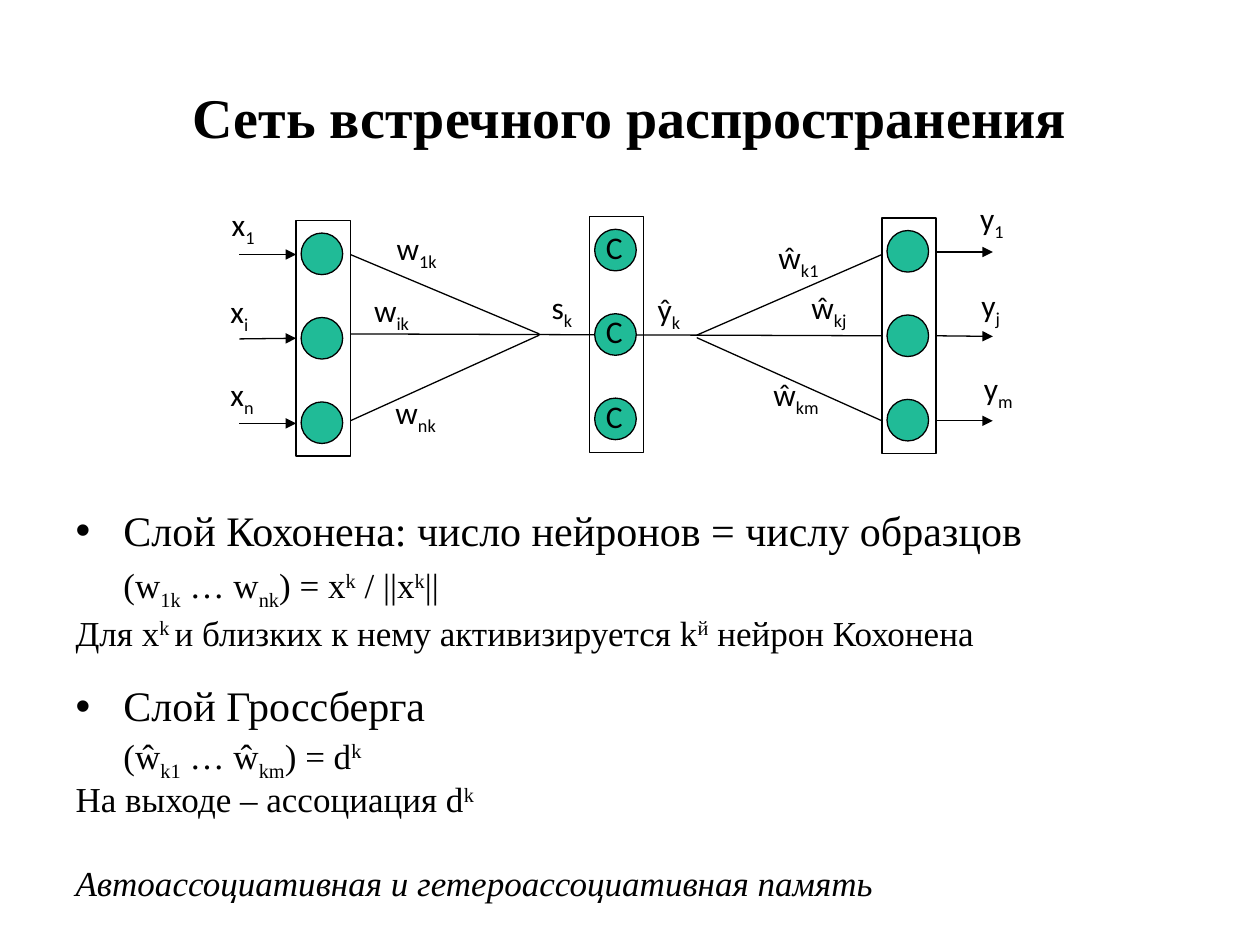
from lxml.etree import SubElement
from pptx import Presentation
from pptx.dml.color import RGBColor
from pptx.enum.shapes import MSO_CONNECTOR, MSO_SHAPE
from pptx.enum.text import MSO_ANCHOR, MSO_AUTO_SIZE, PP_ALIGN
from pptx.oxml.ns import qn
from pptx.util import Inches, Pt

COLORS = {"ink": "000000", "neuron": "20BB97"}
BASELINES = {"_": "-25000", "^": "30000"}
SERIF, SANS = "Times New Roman", "Calibri"
FRAME_W, FRAME_H, NEURON, PITCH = 0.43, 1.87, 0.33, 0.67
FRAMES = [(0.65, 0.25), (2.98, 0.22), (5.3, 0.23)]
LINKS = [
    (1.08, 0.52, 2.58, 1.15),
    (1.08, 1.84, 2.58, 1.16),
    (3.83, 1.16, 5.3, 0.52),
    (3.83, 1.18, 5.3, 1.84),
]
LABELS = [
    ("x;_1", 0.04, 0.08, 0.58), ("x;_i", 0.03, 0.77, 0.58), ("x;_n", 0.03, 1.43, 0.58),
    ("w;_1k", 1.35, 0.27, 0.58), ("w;_ik", 1.17, 0.76, 0.58), ("w;_nk", 1.34, 1.57, 0.58),
    ("s;_k", 2.58, 0.74, 0.58), ("ŷ;_k", 3.42, 0.75, 0.58),
    ("ŵ;_k1", 4.38, 0.34, 0.58), ("ŵ;_kj", 4.64, 0.74, 0.58), ("ŵ;_km", 4.34, 1.43, 0.61),
    ("y;_1", 5.98, 0.03, 0.79), ("y;_j", 5.99, 0.72, 0.79), ("y;_m", 6.01, 1.38, 0.97),
]
HEAD = {"size": 24, "indent": -0.38, "before": 6, "bullet": True}
FORMULA = {"size": 20, "indent": 0, "before": 5}
NOTE = {"size": 20, "indent": -0.38, "before": 5}
BODY = [
    ("Слой Кохонена: число нейронов = числу образцов", HEAD),
    ("(w;_1k; … w;_nk;) = x;^k; / ||x;^k;||", FORMULA),
    ("Для x;^k ;и близких к нему активизируется k;^й; нейрон Кохонена", NOTE | {"after": 12}),
    ("Слой Гроссберга", HEAD),
    ("(ŵ;_k1; … ŵ;_km;) = d;^k", FORMULA | {"before": 2.5}),
    ("На выходе – ассоциация d;^k", NOTE | {"before": 2.5}),
    ("Автоассоциативная и гетероассоциативная память", NOTE | {"before": 26, "italic": True}),
]


def rgb(name):
    """Return the named colour."""
    return RGBColor.from_string(COLORS[name])


def place(shape, x, y, w, h):
    """Move a shape to a box given in inches."""
    for name, value in zip(("left", "top", "width", "height"), (x, y, w, h)):
        setattr(shape, name, Inches(value))


def write(p, text, **font):
    """Write semicolon-separated runs, where _ lowers and ^ raises a run."""
    for part in text.split(";"):
        r = p.add_run()
        baseline = BASELINES.get(part[0])
        r.text = part[1:] if baseline else part
        for name, value in font.items():
            setattr(r.font, name, value)
        r.font.color.rgb = rgb("ink")
        if baseline:
            r.font._element.set("baseline", baseline)


def outline(shape):
    """Give a shape or connector the thin dark line."""
    shape.line.color.rgb = rgb("ink")
    shape.line.width = Pt(0.75)


def add_label(shapes, text, x, y, w, h):
    """Add a diagram label."""
    tf = shapes.add_textbox(*map(Inches, (x, y, w, h))).text_frame
    tf.word_wrap = True
    tf.auto_size = MSO_AUTO_SIZE.SHAPE_TO_FIT_TEXT
    write(tf.paragraphs[0], text, name=SANS, size=Pt(18))


def add_box(shapes, kind, x, y, w, h, fill=None):
    """Add an outlined shape, filled when a colour is named."""
    sp = shapes.add_shape(kind, *map(Inches, (x, y, w, h)))
    sp.shadow.inherit = False
    outline(sp)
    if fill:
        sp.fill.solid()
        sp.fill.fore_color.rgb = rgb(fill)
    else:
        sp.fill.background()
    return sp


def add_line(shapes, x1, y1, x2, y2, arrow=False):
    """Add a straight line, optionally with an arrowhead."""
    line = shapes.add_connector(MSO_CONNECTOR.STRAIGHT, *map(Inches, (x1, y1, x2, y2)))
    outline(line)
    if arrow:
        SubElement(line.line._get_or_add_ln(), qn("a:tailEnd"), type="triangle")
    SubElement(line._element.spPr, qn("a:effectLst"))
    return line


def add_arrows(shapes, x, y, length):
    """Add one arrow per neuron and return the middle one."""
    return [add_line(shapes, x, y + i * PITCH, x + length, y + i * PITCH, True)
            for i in range(3)][1]


def add_network(s, x, y):
    """Draw the three-layer network from its top left corner."""
    shapes = s.shapes.add_group_shape().shapes
    corners = [(x + dx, y + dy) for dx, dy in FRAMES]
    frames = [add_box(shapes, MSO_SHAPE.RECTANGLE, fx, fy, FRAME_W, FRAME_H)
              for fx, fy in corners]
    add_line(shapes, x + 1.08, y + 1.15, x + 5.3, y + 1.17).end_connect(frames[2], 1)
    for x1, y1, x2, y2 in LINKS:
        add_line(shapes, x + x1, y + y1, x + x2, y + y2)
    add_arrows(shapes, x + 0.2, y + 0.52, 0.45).end_connect(frames[0], 1)
    add_arrows(shapes, x + 5.73, y + 0.5, 0.45).begin_connect(frames[2], 3)
    for fx, fy in corners:
        for i in range(3):
            add_box(shapes, MSO_SHAPE.OVAL, fx + 0.04, fy + 0.1 + i * PITCH,
                    NEURON, NEURON, "neuron")
    for text, dx, dy, w in LABELS:
        add_label(shapes, text, x + dx, y + dy, w, 0.44)
    for i in range(3):
        add_label(s.shapes, "C", x + 3.01, y + 0.26 + i * PITCH, 0.49, 0.4)


def add_title(s, x, y, w, h):
    """Fill the title placeholder."""
    sp = s.shapes.title
    place(sp, x, y, w, h)
    sp.text_frame.vertical_anchor = MSO_ANCHOR.MIDDLE
    p = sp.text_frame.paragraphs[0]
    p.alignment = PP_ALIGN.CENTER
    write(p, "Сеть встречного распространения", name=SERIF, size=Pt(32), bold=True)


def add_body(s, x, y, w, h):
    """Fill the body placeholder with the layer descriptions."""
    sp = s.placeholders[1]
    place(sp, x, y, w, h)
    tf = sp.text_frame
    tf.auto_size = MSO_AUTO_SIZE.NONE
    for i, (text, style) in enumerate(BODY):
        p = tf.add_paragraph() if i else tf.paragraphs[0]
        spacing = {"line_spacing": 0.9, "space_before": Pt(style["before"]),
                   "space_after": Pt(style.get("after", 0))}
        for name, value in spacing.items():
            setattr(p, name, value)
        pPr = p._p.get_or_add_pPr()
        pPr.set("marL", str(Inches(0.38)))
        pPr.set("indent", str(Inches(style["indent"])))
        if not style.get("bullet"):
            SubElement(pPr, qn("a:buNone"))
        write(p, text, name=SERIF, size=Pt(style["size"]), italic=style.get("italic"))


def main():
    """Build and save the slide."""
    prs = Presentation()
    prs.slide_width, prs.slide_height = Inches(10), Inches(7.5)
    s = prs.slides.add_slide(prs.slide_layouts[1])
    add_title(s, 0.5, 0.3, 9, 1.25)
    add_body(s, 0.5, 4, 9, 3.26)
    add_network(s, 1.7, 1.5)
    prs.save("out.pptx")


if __name__ == "__main__":
    main()
